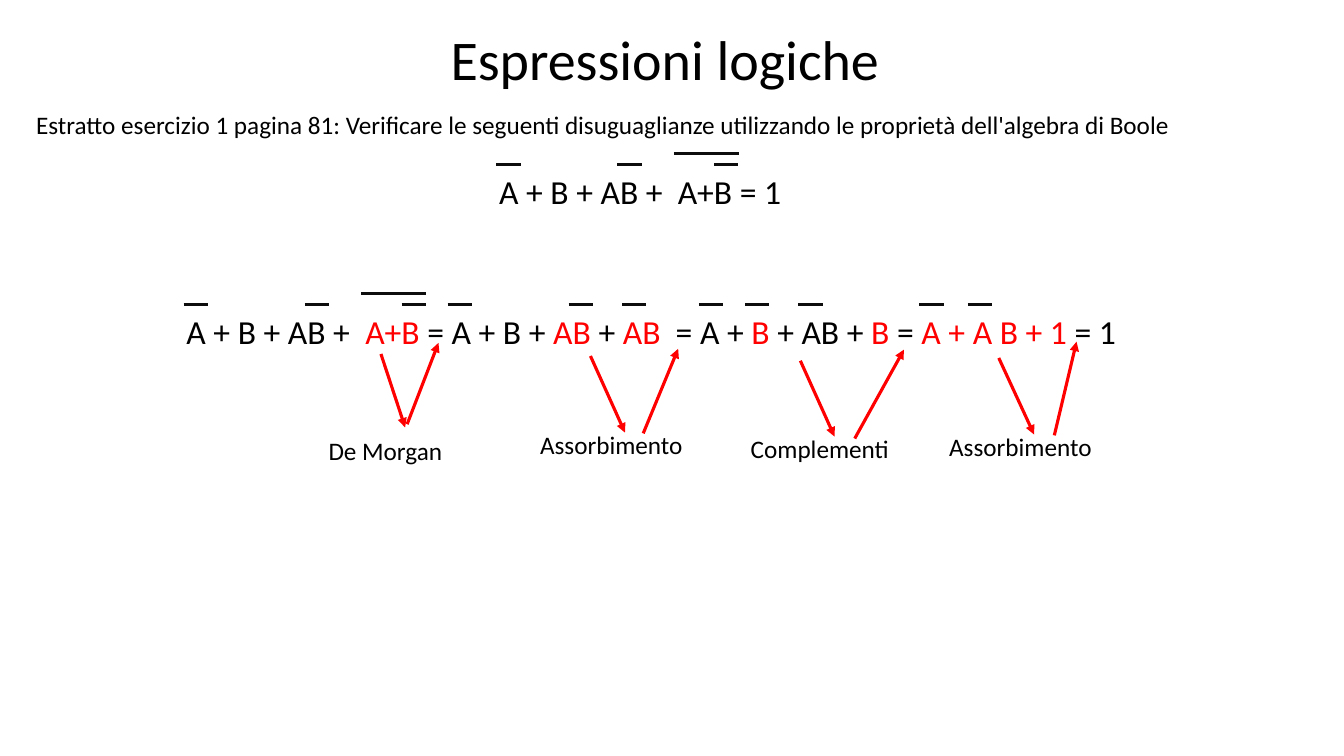
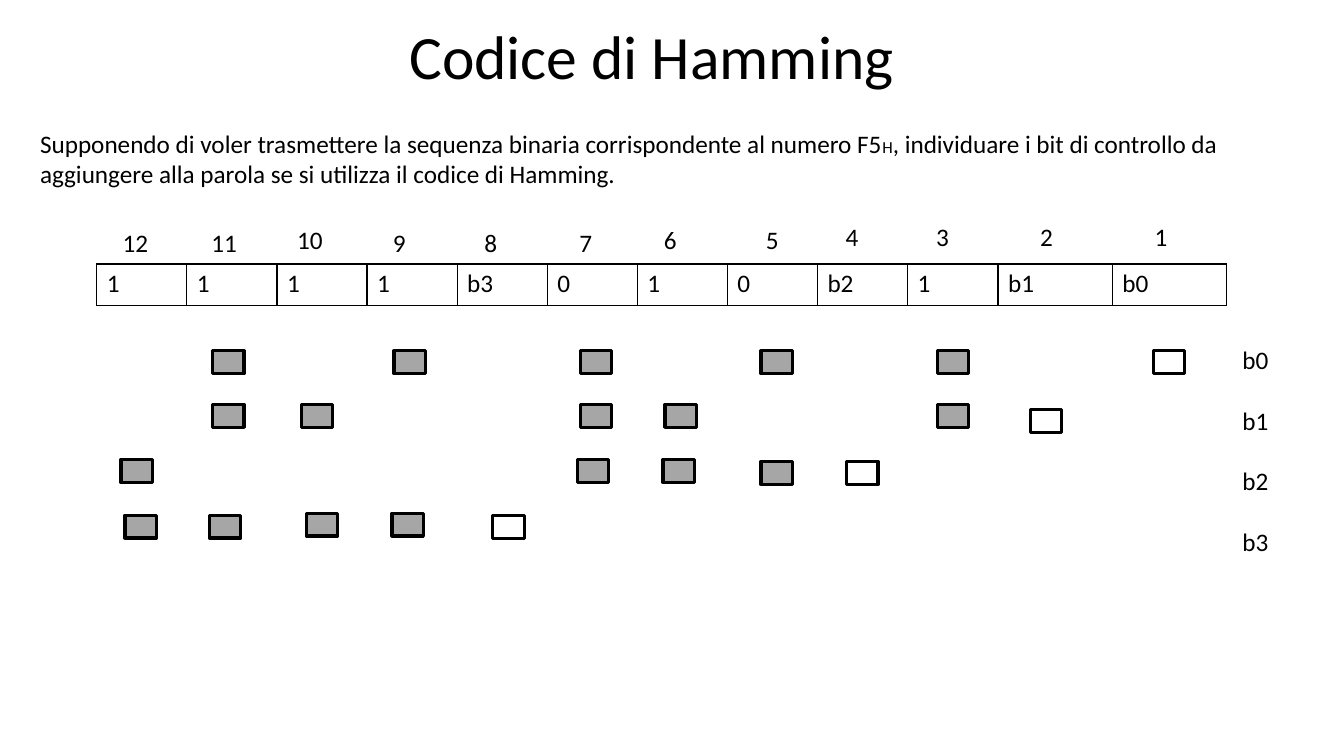
from lxml import etree
from pptx import Presentation
from pptx import util as u
from pptx.dml import color
from pptx.enum import shapes, text
from pptx.oxml import ns

BLACK, BAR, RED, GREY = "000000", "0D0D0D", "FF0000", "A6A6A6"


def rgb(value):
    return color.RGBColor.from_string(value)


class Deck:
    """Shared style, and the slide being filled."""
    font, size, stroke = "Calibri", 18, 2.25

    def __init__(self):
        self.prs = Presentation()
        self.prs.slide_width, self.prs.slide_height = u.Cm(33.87), u.Cm(19.05)
        self.s = None

    def style(self, r, size=None, fill=BLACK):
        r.font.name = self.font
        r.font.size = u.Pt(size or self.size)
        r.font.color.rgb = rgb(fill)

    def slide(self, title, x, y, w, h, size):
        self.s = self.prs.slides.add_slide(self.prs.slide_layouts[5])
        sp = self.s.shapes.title
        sp.left, sp.top, sp.width, sp.height = map(u.Cm, (x, y, w, h))
        tf = sp.text_frame
        tf.text = title
        tf.auto_size = text.MSO_AUTO_SIZE.NONE
        tf.vertical_anchor = text.MSO_ANCHOR.MIDDLE
        p = tf.paragraphs[0]
        p.alignment = text.PP_ALIGN.LEFT
        p.line_spacing = 0.9
        self.style(p.runs[0], size)

    def label(self, x, y, w, h, *paragraphs, gap=0):
        """Text box; a paragraph is a list of (text, size, colour) runs."""
        tf = self.s.shapes.add_textbox(*map(u.Cm, (x, y, w, h))).text_frame
        tf.word_wrap = True
        tf.auto_size = text.MSO_AUTO_SIZE.SHAPE_TO_FIT_TEXT
        for i, runs in enumerate(paragraphs):
            p = tf.add_paragraph() if i else tf.paragraphs[0]
            if i:
                p.space_before = u.Pt(gap)
            for words, *look in runs:
                r = p.add_run()
                r.text = words
                self.style(r, *look)

    def line(self, start, end, fill, arrow=False):
        sp = self.s.shapes.add_connector(
            shapes.MSO_CONNECTOR.STRAIGHT, *map(u.Cm, (*start, *end)))
        sp.line.color.rgb = rgb(fill)
        sp.line.width = u.Pt(self.stroke)
        if arrow:
            ln = sp.line._get_or_add_ln()
            etree.SubElement(ln, ns.qn("a:tailEnd"), type="triangle")
        etree.SubElement(sp._element.spPr, ns.qn("a:effectLst"))

    def formula(self, x, y, w, runs, bars):
        """Expression with negation bars at offsets from its left edge."""
        self.label(x, y, w, 1.27, [(words, 24, fill) for words, fill in runs])
        for dx in bars:
            self.line((x + dx, y - 0.03), (x + dx + 0.61, y - 0.03), BAR)
        self.line((x + 4.65, y - 0.3), (x + 6.29, y - 0.3), BAR)

    def box(self, x, y, fill=None):
        sp = self.s.shapes.add_shape(
            shapes.MSO_SHAPE.RECTANGLE, *map(u.Cm, (x, y, 0.79, 0.58)))
        sp.shadow.inherit = False
        if fill:
            sp.fill.solid()
            sp.fill.fore_color.rgb = rgb(fill)
        else:
            sp.fill.background()
        sp.line.color.rgb = rgb(BLACK)
        sp.line.width = u.Pt(self.stroke)

    def table(self, x, y, col, row, values):
        tbl = self.s.shapes.add_table(
            1, len(values), *map(u.Cm, (x, y, col * len(values), row))).table
        tbl.first_row = tbl.horz_banding = False
        for i, value in enumerate(values):
            tbl.columns[i].width = u.Cm(col)
            cell = tbl.cell(0, i)
            cell.text_frame.text = value
            self.style(cell.text_frame.paragraphs[0].runs[0])
            pr = cell._tc.get_or_add_tcPr()
            for side in ("a:lnL", "a:lnR", "a:lnT", "a:lnB"):
                ln = etree.SubElement(pr, ns.qn(side), w=str(u.Pt(1)))
                solid = etree.SubElement(ln, ns.qn("a:solidFill"))
                etree.SubElement(solid, ns.qn("a:srgbClr"), val=BLACK)
            cell.fill.background()


def logic_slide(d):
    d.slide("Espressioni logiche", 11.1, 0.69, 11.68, 1.75, 40)
    d.label(0.66, 2.62, 32.49, 1.02, [(
        "Estratto esercizio 1 pagina 81: Verificare le seguenti disuguaglianze "
        "utilizzando le proprietà dell'algebra di Boole",)])

    # Statement and its expansion
    bars = [0.18, 3.23, 5.67]
    d.formula(12.33, 4.17, 8.51, [("A + B + AB +  A+B = 1 ", BLACK)], bars)
    d.formula(4.45, 7.7, 24.99, [
        ("A + B + AB +  ", BLACK), ("A+B", RED), (" = A + B +", BLACK),
        (" AB", RED), (" + ", BLACK), ("AB  ", RED), ("= A + ", BLACK),
        ("B ", RED), ("+ AB + ", BLACK), ("B", RED), (" = ", BLACK),
        ("A + A B + 1", RED), (" = 1", BLACK),
    ], bars + [6.83, 9.88, 11.23, 13.16, 14.33, 15.67, 18.72, 19.94])

    # Rule applied at each step: label corner, arrow down, arrow up
    steps = [
        ("De Morgan", (8.03, 10.85), (9.6, 8.92), (10.21, 10.77),
         (10.26, 10.69), (11.05, 8.64)),
        ("Assorbimento", (13.36, 10.69), (14.88, 8.97), (15.75, 10.9),
         (16.21, 10.92), (17.09, 8.79)),
        ("Complementi", (18.67, 10.8), (20.17, 9.09), (21.03, 11),
         (21.54, 11.05), (22.78, 8.81)),
        ("Assorbimento", (23.67, 10.74), (25.17, 9.02), (26.06, 10.95),
         (26.57, 10.97), (27.13, 8.61)),
    ]
    for rule, corner, down, down_end, up, up_end in steps:
        d.label(*corner, 4.22, 1.02, [(rule,)])
        d.line(down, down_end, RED, arrow=True)
        d.line(up, up_end, RED, arrow=True)


def hamming_slide(d):
    d.slide("Codice di Hamming", 10.06, 0.43, 13.72, 2.16, 44)
    d.label(0.76, 3.1, 32.26, 1.8, [
        ("Supponendo di voler trasmettere la sequenza binaria corrispondente "
         "al numero F5",), ("H", 12),
        (", individuare i bit di controllo da aggiungere alla parola se si "
         "utilizza il codice di Hamming. ",)])

    # Code word, with its bit positions above
    d.table(2.44, 6.65, 2.27, 1.04, "1 1 1 1 b3 0 1 0 b2 1".split())
    d.table(25.15, 6.65, 2.88, 1.04, ["b1", "b0"])
    lefts = [28.85, 25.96, 23.34, 21.06, 19.05, 16.48,
             14.35, 11.96, 9.65, 7.24, 5.08, 2.84]
    for n, x in enumerate(lefts, 1):
        y = 5.46 if n <= 4 else 5.54 if n in (5, 6, 10) else 5.61
        d.label(x, y, 1.35, 1.02, [(str(n),)])

    # Control bits
    d.label(31.06, 8.56, 1.83, 5.64,
            *[[(f"b{i}",)] for i in range(4)], gap=21.6)
    for x, y in [(29.06, 8.84), (25.96, 10.31), (21.34, 11.63), (12.42, 13)]:
        d.box(x, y)

    # Data bits covered by each control bit
    covered = [
        (8.84, [5.36, 9.93, 14.63, 19.18, 23.62]),
        (10.19, [5.36, 7.59, 14.63, 16.76, 23.62]),
        (11.58, [3.05, 14.55, 16.71]),
        (11.63, [19.18]),
        (12.93, [7.72, 9.88]),
        (12.98, [3.15, 5.28]),
    ]
    for y, xs in covered:
        for x in xs:
            d.box(x, y, GREY)


def main():
    d = Deck()
    logic_slide(d)
    hamming_slide(d)
    d.prs.save("out.pptx")


if __name__ == "__main__":
    main()
